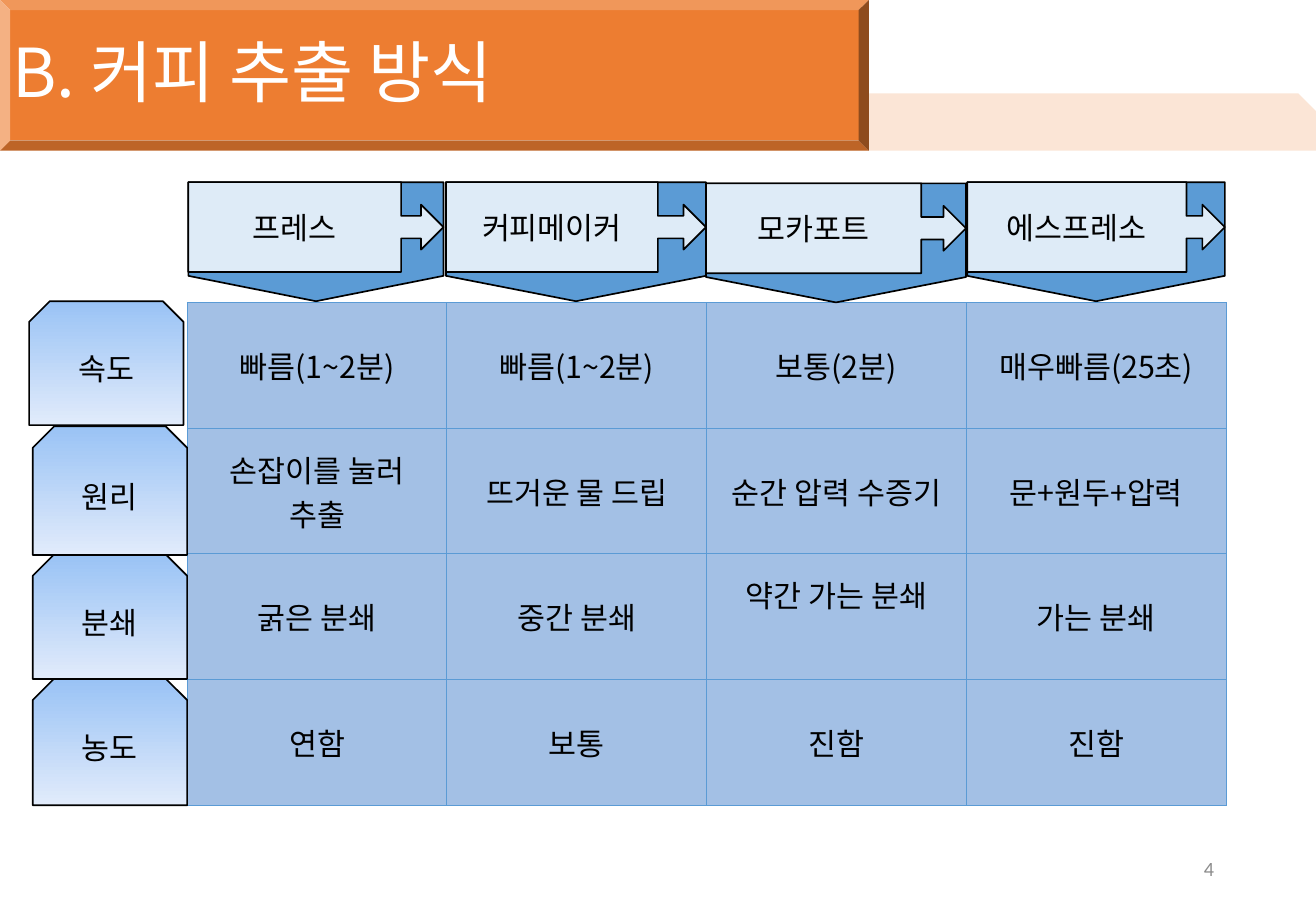
from dataclasses import dataclass

from lxml import etree
from pptx import Presentation
from pptx.dml.color import RGBColor
from pptx.enum import shapes, text
from pptx.oxml import ns
from pptx.util import Inches, Pt


@dataclass(frozen=True)
class Theme:
    korean: str = "Noto Sans CJK KR"
    latin: str = "Calibri"
    title_size: int = 40
    body_size: int = 18
    number_size: int = 12
    white: str = "FFFFFF"
    black: str = "000000"
    gray: str = "8C8C8C"
    orange: str = "ED7D31"
    pale_orange: str = "FBE5D6"
    blue: str = "5B9BD5"
    pale_blue: str = "DEEBF7"
    cell_blue: str = "A3C0E5"
    tab_colors: tuple = ("9AC3F5", "E1EBFB")


class SlideBuilder:
    def __init__(self, page, theme):
        self.page = page
        self.theme = theme

    def add_words(self, frame, words, size=None, color=None, font=None,
                  align=text.PP_ALIGN.CENTER):
        """Put one formatted run in a vertically centred frame."""
        font = font or self.theme.korean
        frame.word_wrap = True
        frame.vertical_anchor = text.MSO_ANCHOR.MIDDLE
        para = frame.paragraphs[0]
        para.alignment = align
        span = para.add_run()
        span.text = words
        span.font.size = Pt(size or self.theme.body_size)
        span.font.name = font
        span.font.color.rgb = RGBColor.from_string(color or self.theme.black)
        east_asian = etree.SubElement(span.font._element, ns.qn("a:ea"))
        east_asian.set("typeface", font)
        return para

    def shape(self, kind, place, fill, words=None, adjust=(), outline=True):
        """Add a preset shape; a pair of fill colours gives a downward gradient."""
        box = self.page.shapes.add_shape(kind, *map(Inches, place))
        box.shadow.inherit = False
        for index, value in enumerate(adjust):
            box.adjustments[index] = value
        if isinstance(fill, tuple):
            box.fill.gradient()
            box.fill.gradient_angle = 270
            for stop, color in zip(box.fill.gradient_stops, fill):
                stop.color.rgb = RGBColor.from_string(color)
        else:
            box.fill.solid()
            box.fill.fore_color.rgb = RGBColor.from_string(fill)
        if outline:
            box.line.color.rgb = RGBColor.from_string(self.theme.black)
            box.line.width = Pt(1)
        else:
            box.line.fill.background()
        if words:
            self.add_words(box.text_frame, words)
        return box

    def title(self, words, place):
        box = self.page.shapes.title
        box.left, box.top, box.width, box.height = map(Inches, place)
        para = self.add_words(box.text_frame, words, self.theme.title_size,
                              self.theme.white, align=text.PP_ALIGN.LEFT)
        para.line_spacing = 0.9
        self.page.shapes._spTree.append(box._element)  # above the banner

    def page_number(self, words, place):
        box = self.page.shapes.add_textbox(*map(Inches, place))
        self.add_words(box.text_frame, words, self.theme.number_size,
                       self.theme.gray, self.theme.latin, text.PP_ALIGN.RIGHT)

    def border(self, cell):
        properties = cell._tc.get_or_add_tcPr()
        for index, side in enumerate(("lnL", "lnR", "lnT", "lnB")):
            line = etree.Element(ns.qn("a:" + side), w=str(Pt(0.5)))
            fill = etree.SubElement(line, ns.qn("a:solidFill"))
            etree.SubElement(fill, ns.qn("a:srgbClr"), val=self.theme.blue)
            properties.insert(index, line)

    def table(self, rows, place):
        grid = self.page.shapes.add_table(
            len(rows), len(rows[0]), *map(Inches, place)).table
        grid.first_row = grid.horz_banding = False
        for r, row in enumerate(rows):
            for c, words in enumerate(row):
                cell = grid.cell(r, c)
                cell.fill.solid()
                cell.fill.fore_color.rgb = RGBColor.from_string(
                    self.theme.cell_blue)
                self.add_words(cell.text_frame, words)
                cell.vertical_anchor = text.MSO_ANCHOR.MIDDLE
                self.border(cell)
        return grid

    def column_header(self, words, left, top, width, body_share):
        """A downward pentagon with an arrow callout on top of it."""
        height, middle = 0.98, left + width / 2
        pentagon = self.shape(
            shapes.MSO_SHAPE.PENTAGON,
            (middle - height / 2, top + (height - width) / 2, height, width),
            self.theme.blue, adjust=(0.213,))
        pentagon.rotation = 90
        self.shape(shapes.MSO_SHAPE.RIGHT_ARROW_CALLOUT,
                   (left, top, width, 0.74), self.theme.pale_blue, words,
                   (0.25, 0.25, 0.25, body_share))


def main():
    deck = Presentation()
    deck.slide_width, deck.slide_height = Inches(10.83), Inches(7.5)
    theme = Theme()
    page = deck.slides.add_slide(deck.slide_layouts[5])
    slide = SlideBuilder(page, theme)

    # Title banner
    slide.shape(shapes.MSO_SHAPE.SNIP_1_RECTANGLE, (5.02, 0.77, 5.82, 0.47),
                theme.pale_orange, adjust=(0.331,), outline=False)
    slide.shape(shapes.MSO_SHAPE.BEVEL, (0, 0, 7.15, 1.24),
                theme.orange, adjust=(0.067,), outline=False)
    slide.title("B. 커피 추출 방식", (0, 0.01, 7.15, 1.23))
    slide.page_number("4", (7.65, 6.95, 2.44, 0.4))

    # Comparison table
    grid = slide.table([
        ("빠름(1~2분)", "빠름(1~2분)", "보통(2분)", "매우빠름(25초)"),
        ("손잡이를 눌러 추출", "뜨거운 물 드립", "순간 압력 수증기", "문+원두+압력"),
        ("굵은 분쇄", "중간 분쇄", "약간 가는 분쇄", "가는 분쇄"),
        ("연함", "보통", "진함", "진함"),
    ], (1.54, 2.49, 8.55, 4.14))
    grid.cell(2, 2).margin_bottom = Inches(0.42)  # this entry sits higher

    # Row tabs
    for words, left, top, height in (("속도", 0.24, 2.48, 1.02),
                                     ("원리", 0.27, 3.51, 1.06),
                                     ("분쇄", 0.27, 4.57, 1.02),
                                     ("농도", 0.27, 5.59, 1.04)):
        slide.shape(shapes.MSO_SHAPE.SNIP_2_SAME_RECTANGLE,
                    (left, top, 1.27, height), theme.tab_colors, words)

    # Column headers
    for words, left, top, width, body_share in (
            ("프레스", 1.55, 1.5, 2.1, 0.834),
            ("커피메이커", 3.67, 1.5, 2.14, 0.815),
            ("모카포트", 5.81, 1.51, 2.14, 0.828),
            ("에스프레소", 7.96, 1.5, 2.12, 0.851)):
        slide.column_header(words, left, top, width, body_share)

    deck.save("out.pptx")


if __name__ == "__main__":
    main()
